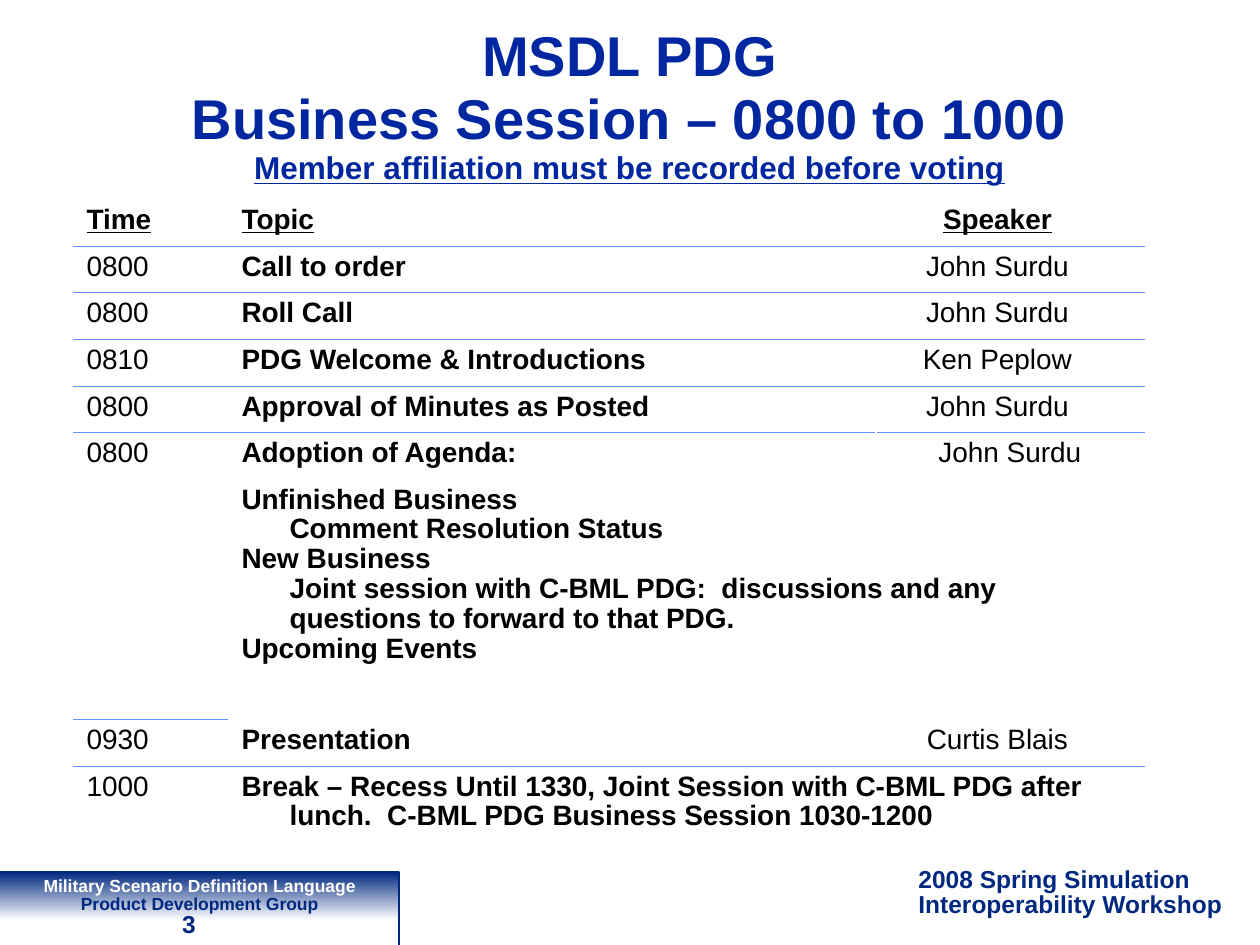
from copy import deepcopy
from lxml import etree
from pptx import Presentation
from pptx import util as u
from pptx.dml.color import RGBColor
from pptx.enum import shapes, text
from pptx.oxml.ns import qn

# Content
TITLE = [("MSDL PDG\nBusiness Session – 0800 to 1000\n", 32, False),
         ("Member affiliation must be recorded before voting", 18, True)]
AGENDA = [
    ("Time", "Topic", "Speaker"),
    ("0800", "Call to order", "John Surdu"),
    ("0800", "Roll Call", "John Surdu"),
    ("0810", "PDG Welcome & Introductions", "Ken Peplow"),
    ("0800", "Approval of Minutes as Posted", "John Surdu"),
    ("0800", "Adoption of Agenda:", "John Surdu"),
    ("", ["Unfinished Business\nComment Resolution Status",
          "New Business\nJoint session with C-BML PDG:  discussions and any "
          "questions to forward to that PDG.",
          "Upcoming Events"], ""),
    ("", "", ""),
    ("", "", ""),
    ("0930", "Presentation", "Curtis Blais"),
    ("1000", "Break – Recess Until 1330, Joint Session with C-BML PDG after "
             "lunch.  C-BML PDG Business Session 1030-1200", ""),
]
EVENT = "2008 Spring Simulation Interoperability Workshop"
GROUP = [("Military Scenario Definition Language\n", "white"),
         ("Product Development Group", "navy")]
PAGE = "3"

# Format
HEX = {"navy": "00287F", "blue": "00279F", "rule": "618FFD",
       "white": "FFFFFF", "black": "000000"}
COLS = [155, 622, 25, 268]
ROWS = [47, 46, 47, 47, 46, 47, 47, 47, 146, 47, 81]
RULED = {0, 1, 2, 3, 4, 8, 9}       # rows with a line below
SPANS = [(r, 2, r, 3) for r in (0, 1, 2, 3, 4, 9)]
SPANS += [(5, 1, 5, 2), (6, 1, 8, 3), (10, 1, 10, 3)]
HANG = 48
MID = text.PP_ALIGN.CENTER


def px(n):
    return round(n * 914400 / 126)


def rgb(name):
    return RGBColor.from_string(HEX[name])


def put(par, words, size, hue, **fmt):
    """Add words to a paragraph, with a line break at each newline."""
    for i, part in enumerate(words.split("\n")):
        if i:
            par.add_line_break()
            par._p.findall(qn("a:br"))[-1].append(deepcopy(run._r.rPr))
        if part:
            run = par.add_run()
            run.text = part
            look = {"name": "Arial", "size": u.Pt(size), "bold": True, **fmt}
            for key, val in look.items():
                setattr(run.font, key, val)
            run.font.color.rgb = rgb(hue)


def label(shape, parts, size, space, align=None):
    frame = shape.text_frame
    frame.word_wrap = True
    frame.vertical_anchor = text.MSO_ANCHOR.TOP
    par = frame.paragraphs[0]
    par.line_spacing, par.alignment = space, align
    for words, hue in parts:
        put(par, words, size, hue)


def rule(cell, side):
    line = etree.SubElement(cell._tc.get_or_add_tcPr(), qn("a:ln" + side), w="1400")
    fill = etree.SubElement(line, qn("a:solidFill"))
    etree.SubElement(fill, qn("a:srgbClr"), val=HEX["rule"])


deck = Presentation()
deck.slide_width, deck.slide_height = u.Inches(10), u.Inches(7.5)
slide = deck.slides.add_slide(deck.slide_layouts[5])
items = slide.shapes


def box(x, y, w, h):
    return items.add_textbox(px(x), px(y), px(w), px(h))


def rect(x, y, w, h):
    shape = items.add_shape(shapes.MSO_SHAPE.RECTANGLE, px(x), px(y), px(w), px(h))
    shape.shadow.inherit = False
    return shape


# Footer
label(box(906, 862, 344, 62), [(EVENT, "navy")], 14, 0.85)

band = rect(0, 872, 399, 48)
band.line.fill.background()
band.fill.gradient()
band.fill.gradient_angle = 270
for stop, hue, pos in zip(band.fill.gradient_stops, ("navy", "white"), (0, 1)):
    stop.color.rgb, stop.position = rgb(hue), pos
label(band, GROUP, 10, 0.85, MID)

label(box(105, 905, 168, 40), [(PAGE, "navy")], 14, 0.95, MID)

edge = rect(-10, 872, 409, 105)
edge.fill.background()
edge.line.color.rgb, edge.line.width = rgb("navy"), u.Pt(1)

# Title
head = items.title
for key, val in zip(("left", "top", "width", "height"), (73, 147, 1113, 84)):
    setattr(head, key, px(val))
frame = head.text_frame
frame.auto_size = text.MSO_AUTO_SIZE.NONE
frame.vertical_anchor = text.MSO_ANCHOR.BOTTOM
frame.margin_bottom = px(44)
par = frame.paragraphs[0]
par.alignment, par.line_spacing = MID, 0.93
for words, size, under in TITLE:
    put(par, words, size, "blue", underline=under)

# Agenda table
table = items.add_table(len(ROWS), len(COLS), px(74), px(199),
                        px(sum(COLS)), px(sum(ROWS))).table
table.first_row = table.horz_banding = False
for col, wide in zip(table.columns, COLS):
    col.width = px(wide)
for row, high in zip(table.rows, ROWS):
    row.height = px(high)
for top, left, low, right in SPANS:
    table.cell(top, left).merge(table.cell(low, right))

for r, (time, topic, who) in enumerate(AGENDA):
    spot = 3 if r == 5 else 2
    filled = {0: time, 1: topic, spot: who}
    for c in range(len(COLS)):
        cell = table.cell(r, c)
        if r - 1 in RULED:
            rule(cell, "T")
        if r in RULED:
            rule(cell, "B")
        cell.fill.background()
        words = filled.get(c)
        if not words:
            cell.margin_top = cell.margin_bottom = 0
            continue
        lines = words if isinstance(words, list) else [words]
        for i, line in enumerate(lines):
            frame = cell.text_frame
            par = frame.add_paragraph() if i else frame.paragraphs[0]
            par.line_spacing = 0.96
            if c == spot:
                par.alignment = MID
            else:
                prop = par._p.get_or_add_pPr()
                prop.set("marL", str(px(HANG)))
                prop.set("indent", str(-px(HANG)))
            put(par, line, 16, "black", bold=r == 0 or c == 1, underline=r == 0)

deck.save("out.pptx")
